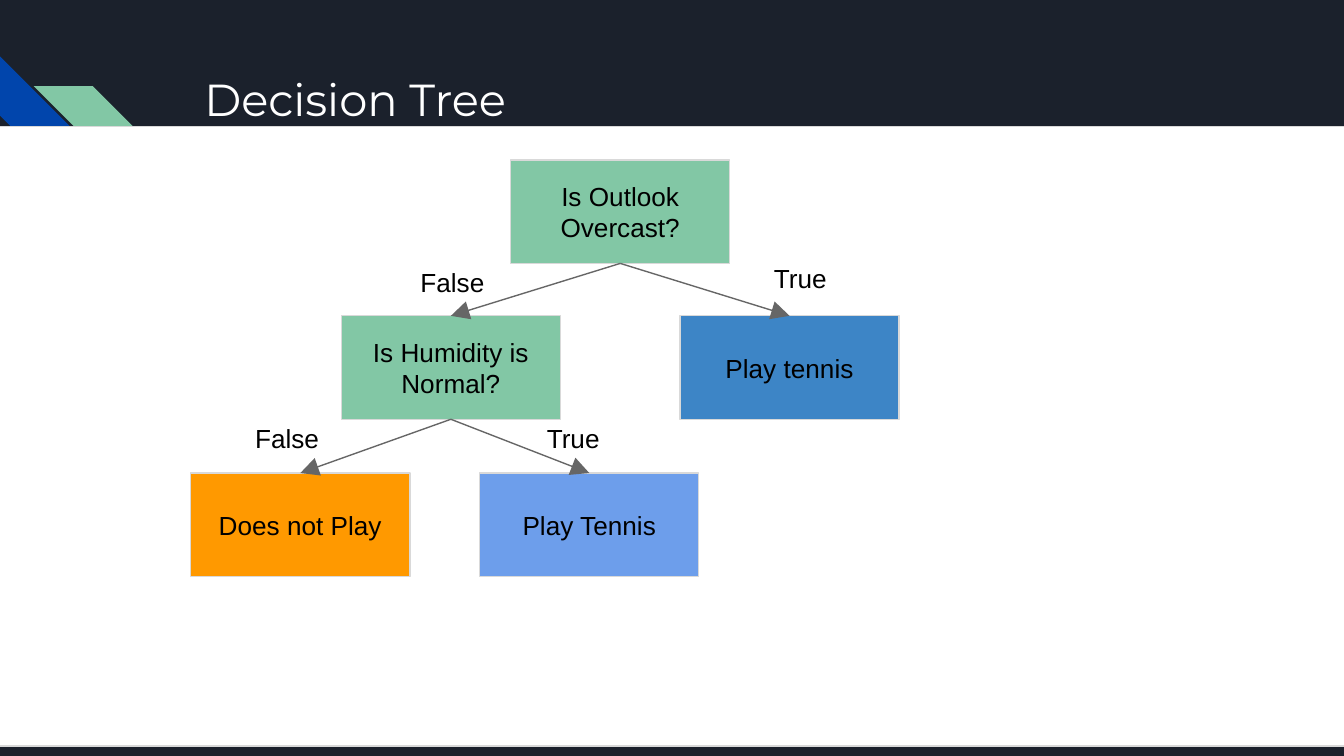
from dataclasses import dataclass

from pptx import Presentation
from pptx.dml.color import RGBColor as RGB
from pptx.enum.shapes import MSO_CONNECTOR as CONN, MSO_SHAPE as SHAPE
from pptx.enum.text import MSO_ANCHOR as ANCHOR, MSO_AUTO_SIZE as AUTO, PP_ALIGN as ALIGN
from pptx.oxml.ns import qn
from pptx.util import Inches, Pt
from lxml.etree import SubElement


@dataclass(frozen=True)
class Theme:
    dark: str = "1B212C"
    white: str = "FFFFFF"
    black: str = "000000"
    navy: str = "0145AC"
    green: str = "82C7A5"
    blue: str = "3D85C6"
    sky: str = "6D9EEB"
    orange: str = "FF9900"
    border: str = "D9D9D9"
    arrow: str = "666666"
    head_font: str = "Montserrat"
    body_font: str = "Arial"
    head_size: int = 24
    body_size: int = 14
    line: float = 0.75


def rgb(value):
    return RGB.from_string(value)


def write(sp, text, *, font, size, color, align=ALIGN.LEFT, anchor=ANCHOR.TOP):
    tf = sp.text_frame
    tf.auto_size = AUTO.NONE
    tf.word_wrap = True
    tf.vertical_anchor = anchor
    tf.margin_left = tf.margin_right = Inches(0.1)
    tf.margin_top = tf.margin_bottom = Inches(0.1)
    p = tf.paragraphs[0]
    p.alignment = align
    r = p.add_run()
    r.text = text
    r.font.name = font
    r.font.size = Pt(size)
    r.font.color.rgb = rgb(color)


class Deck:
    def __init__(self, theme):
        self.theme = theme
        self.prs = Presentation()
        self.prs.slide_width = Inches(10)
        self.prs.slide_height = Inches(10 * 9 / 16)
        self.s = self.prs.slides.add_slide(self.prs.slide_layouts[5])
        fill = self.s.background.fill
        fill.solid()
        fill.fore_color.rgb = rgb(theme.dark)

    def shape(self, kind, box, fill, line=None):
        sp = self.s.shapes.add_shape(kind, *map(Inches, box))
        sp.shadow.inherit = False
        sp.fill.solid()
        sp.fill.fore_color.rgb = rgb(fill)
        if line:
            sp.line.color.rgb = rgb(line)
            sp.line.width = Pt(self.theme.line)
        else:
            sp.line.fill.background()
        return sp

    def stripe(self, x, y, fill, rotation=0, flip=False):
        sp = self.shape(SHAPE.DIAGONAL_STRIPE, (x, y, 0.88, 0.88), fill)
        sp.adjustments[0] = 0.5
        sp.rotation = rotation
        if flip:
            sp._element.spPr.find(qn("a:xfrm")).set("flipH", "1")

    def panel(self, box):
        self.shape(SHAPE.RECTANGLE, box, self.theme.white, self.theme.border)

    def title(self, text, box):
        t = self.theme
        sp = self.s.shapes.title
        sp.left, sp.top, sp.width, sp.height = map(Inches, box)
        write(sp, text, font=t.head_font, size=t.head_size, color=t.white)
        sp._element.getparent().append(sp._element)

    def node(self, text, x, y, fill):
        t = self.theme
        sp = self.shape(SHAPE.RECTANGLE, (x, y, 1.63, 0.77), fill, t.border)
        write(sp, text, font=t.body_font, size=t.body_size, color=t.black,
              align=ALIGN.CENTER, anchor=ANCHOR.MIDDLE)
        return sp

    def branch(self, parent, child):
        c = self.s.shapes.add_connector(CONN.STRAIGHT, 0, 0, 0, 0)
        c.begin_connect(parent, 2)
        c.end_connect(child, 0)
        c.line.color.rgb = rgb(self.theme.arrow)
        c.line.width = Pt(self.theme.line)
        SubElement(c.line._get_or_add_ln(), qn("a:tailEnd"),
                   type="triangle", w="lg", len="lg")
        SubElement(c._element.spPr, qn("a:effectLst"))

    def label(self, text, x, y):
        t = self.theme
        sp = self.s.shapes.add_textbox(*map(Inches, (x, y, 0.73, 0.39)))
        write(sp, text, font=t.body_font, size=t.body_size, color=t.black)


def main():
    t = Theme()
    deck = Deck(t)
    deck.stripe(0, 0.42, t.navy, rotation=270)
    deck.stripe(0.25, 0.64, t.green, flip=True)
    deck.panel((-0.19, 0.94, 10.25, 4.61))
    deck.title("Decision Tree", (1.42, 0.43, 7.7, 1))

    top, middle, bottom = 1.19, 2.35, 3.52
    outlook = deck.node("Is Outlook Overcast?", 3.8, top, t.green)
    overcast = deck.node("Play tennis", 5.06, middle, t.blue)
    humidity = deck.node("Is Humidity is Normal?", 2.54, middle, t.green)
    normal = deck.node("Play Tennis", 3.57, bottom, t.sky)
    humid = deck.node("Does not Play", 1.42, bottom, t.orange)

    for parent, child in ((outlook, humidity), (outlook, overcast),
                          (humidity, humid), (humidity, normal)):
        deck.branch(parent, child)

    for text, x, y in (("True", 5.66, 1.85), ("True", 3.97, 3.04),
                       ("False", 3.03, 1.88), ("False", 1.8, 3.04)):
        deck.label(text, x, y)

    deck.prs.save("out.pptx")


if __name__ == "__main__":
    main()
